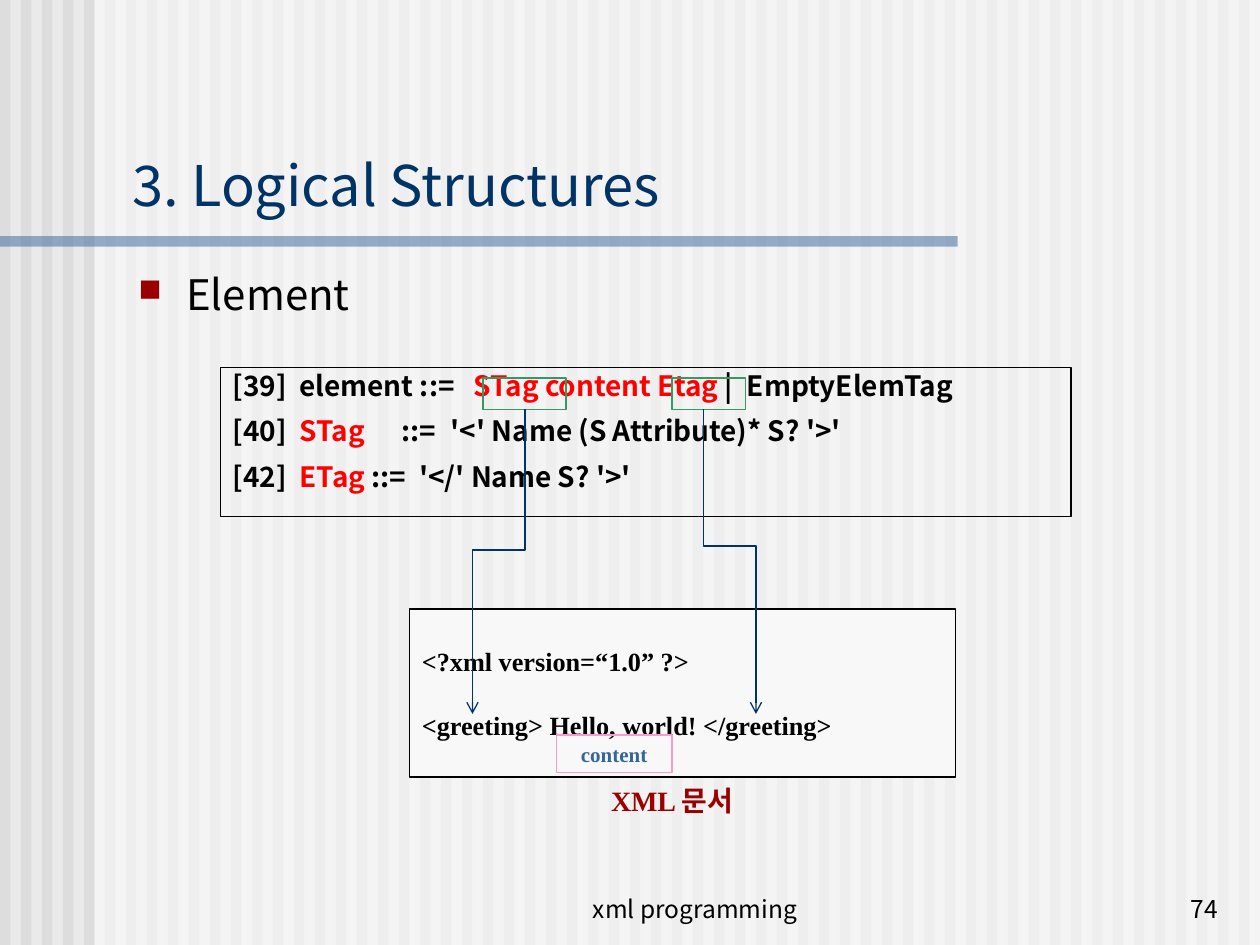
from dataclasses import dataclass
from typing import Optional

from lxml.etree import SubElement
from pptx import Presentation
from pptx.dml.color import RGBColor
from pptx.enum.shapes import MSO_SHAPE as Preset
from pptx.enum.text import MSO_ANCHOR as Anchor, PP_ALIGN as Align
from pptx.oxml.ns import qn
from pptx.util import Inches, Pt

# The slide is a grid of 120 columns by 90 rows with square cells.
COLUMNS, ROWS = 120, 90
CELL = Inches(10) / COLUMNS
COLORS = {
    "ground": "EAEAEA", "stripe": "DDDDDD", "white": "FFFFFF", "blue": "336699",
    "navy": "003366", "black": "000000", "maroon": "9A0000", "red": "FF0000",
    "paper": "F8F8F8", "green": "339966", "pink": "FF99CC",
}
SANS, SERIF = "Noto Sans CJK KR", "Times New Roman"


@dataclass(frozen=True)
class Area:
    column: float
    row: float
    width: float
    height: float


@dataclass(frozen=True)
class Style:
    size: float
    color: str = "black"
    family: str = SANS
    bold: bool = False
    align: Align = Align.LEFT
    anchor: Anchor = Anchor.TOP
    before: float = 0
    spacing: Optional[float] = None
    wrap: bool = True


@dataclass(frozen=True)
class Line:
    """One paragraph: (text, colour) runs and tab stops in inches."""
    runs: tuple
    tabs: tuple = ()


@dataclass(frozen=True)
class Panel:
    area: Area
    fill: Optional[str] = None
    border: Optional[str] = None
    opacity: int = 100


@dataclass(frozen=True)
class Label:
    area: Area
    text: str
    style: Style


def cells(count: float) -> int:
    return round(count * CELL)


def place(area: Area) -> tuple:
    return tuple(map(cells, (area.column, area.row, area.width, area.height)))


def rgb(name: str) -> RGBColor:
    return RGBColor.from_string(COLORS[name])


def draw_panel(slide, panel: Panel):
    shape = slide.shapes.add_shape(Preset.RECTANGLE, *place(panel.area))
    shape.shadow.inherit = False
    if panel.fill:
        shape.fill.solid()
        shape.fill.fore_color.rgb = rgb(panel.fill)
        if panel.opacity < 100:
            tint = shape.fill._xPr.find(".//" + qn("a:srgbClr"))
            SubElement(tint, qn("a:alpha"), val=str(panel.opacity * 1000))
    else:
        shape.fill.background()
    if panel.border:
        shape.line.color.rgb = rgb(panel.border)
        shape.line.width = Pt(0.75)
    else:
        shape.line.fill.background()
    return shape


def write(shape, lines: list[Line], style: Style) -> None:
    frame = shape.text_frame
    frame.word_wrap = style.wrap
    frame.vertical_anchor = style.anchor
    for index, line in enumerate(lines):
        paragraph = frame.add_paragraph() if index else frame.paragraphs[0]
        paragraph.alignment = style.align
        paragraph.space_before = Pt(style.before if index else 0)
        if style.spacing:
            paragraph.line_spacing = style.spacing
        if line.tabs:
            stops = SubElement(paragraph._p.get_or_add_pPr(), qn("a:tabLst"))
            for stop in line.tabs:
                SubElement(stops, qn("a:tab"), pos=str(Inches(stop)), algn="l")
        for text, color in line.runs:
            run = paragraph.add_run()
            run.text = text
            font_format = {"size": Pt(style.size), "bold": style.bold, "name": style.family}
            for attribute, value in font_format.items():
                setattr(run.font, attribute, value)
            run.font.color.rgb = rgb(color)
            SubElement(run._r.get_or_add_rPr(), qn("a:ea"), typeface=SANS)


def draw_label(slide, label: Label):
    box = slide.shapes.add_textbox(*place(label.area))
    write(box, [Line(((label.text, label.style.color),))], label.style)
    return box


def add_square_bullet(paragraph) -> None:
    properties = paragraph._p.get_or_add_pPr()
    properties.set("marL", str(Inches(0.38)))
    properties.set("indent", str(-Inches(0.38)))
    tint = SubElement(properties, qn("a:buClr"))
    SubElement(tint, qn("a:srgbClr"), val=COLORS["maroon"])
    SubElement(properties, qn("a:buSzPct"), val="75000")
    SubElement(properties, qn("a:buChar"), char="■")


def draw_bent_arrow(slide, points: list[tuple[float, float]]) -> None:
    start, *bends = [(cells(column), cells(row)) for column, row in points]
    builder = slide.shapes.build_freeform(*start)
    builder.add_line_segments(bends, close=False)
    arrow = builder.convert_to_shape()
    arrow.shadow.inherit = False
    arrow.fill.background()
    arrow.line.color.rgb = rgb("navy")
    arrow.line.width = Pt(0.75)
    SubElement(arrow.line._get_or_add_ln(), qn("a:tailEnd"), type="arrow")


BACKDROP = [
    *(Panel(Area(column, 0, 1, ROWS), "stripe") for column in range(0, COLUMNS, 2)),
    Panel(Area(9, 0, 111, ROWS), "white", opacity=50),
    Panel(Area(0, 22.5, 91.2, 1), "blue", opacity=50),
]
LABELS = [
    Label(Area(47.2, 82.5, 38, 6), "xml programming",
          Style(14, align=Align.CENTER, anchor=Anchor.BOTTOM)),
    Label(Area(92.2, 82.5, 25, 6), "74", Style(14, align=Align.RIGHT, anchor=Anchor.BOTTOM)),
    Label(Area(11.4, 11.3, 107.2, 10), "3. Logical Structures",
          Style(32, "navy", anchor=Anchor.BOTTOM)),
    Label(Area(56, 74, 16, 4.4), "XML 문서",
          Style(16, "maroon", SERIF, True, Align.CENTER)),
]
TOPIC = Label(Area(12, 25, 106.4, 55), "Element", Style(24))
GRAMMAR = [
    Line((("[39]\telement ::=\t", "black"), ("STag content Etag", "red"),
          (" |\tEmptyElemTag", "black")), (0.53, 1.91, 4.08)),
    Line((("[40]\t", "black"), ("STag", "red"),
          ("\t::=\t'<' Name (S Attribute)* S? '>'", "black")), (0.53, 1.34, 1.73)),
    Line((("[42]\t", "black"), ("ETag", "red"),
          (" ::=\t'</' Name S? '>'", "black")), (0.53, 1.48)),
]
DOCUMENT = [Line(((code, "black"),)) for code in
            ("<?xml version=“1.0” ?>", "<greeting> Hello, world! </greeting>")]
TAG_FRAMES = [Panel(Area(46, 36, 7.9, 3), border="green"),
              Panel(Area(64, 36, 7, 3), border="green")]
TAG_ARROWS = [[(50, 39), (50, 52.4), (45, 52.4), (45, 68)],
              [(67, 39), (67, 52), (72, 52), (72, 68)]]


def main() -> None:
    deck = Presentation()
    deck.slide_width, deck.slide_height = cells(COLUMNS), cells(ROWS)
    slide = deck.slides.add_slide(deck.slide_layouts[6])
    slide.background.fill.solid()
    slide.background.fill.fore_color.rgb = rgb("ground")

    for panel in BACKDROP:
        draw_panel(slide, panel)
    for label in LABELS:
        draw_label(slide, label)
    topic = draw_label(slide, TOPIC)
    add_square_bullet(topic.text_frame.paragraphs[0])

    grammar = draw_panel(slide, Panel(Area(21, 35, 81, 14.2), border="black"))
    write(grammar, GRAMMAR, Style(16, bold=True, before=10, spacing=0.84))
    document = draw_panel(slide, Panel(Area(39, 58, 52, 16), "paper", "black"))
    write(document, DOCUMENT, Style(15, family=SERIF, bold=True, anchor=Anchor.MIDDLE,
                                    before=18.75, wrap=False))

    for frame in TAG_FRAMES:
        draw_panel(slide, frame)
    for points in TAG_ARROWS:
        draw_bent_arrow(slide, points)
    content = draw_panel(slide, Panel(Area(53, 70, 11, 3.6), border="pink"))
    write(content, [Line((("content", "blue"),))],
          Style(12, "blue", SERIF, True, Align.CENTER))

    deck.save("out.pptx")


if __name__ == "__main__":
    main()
